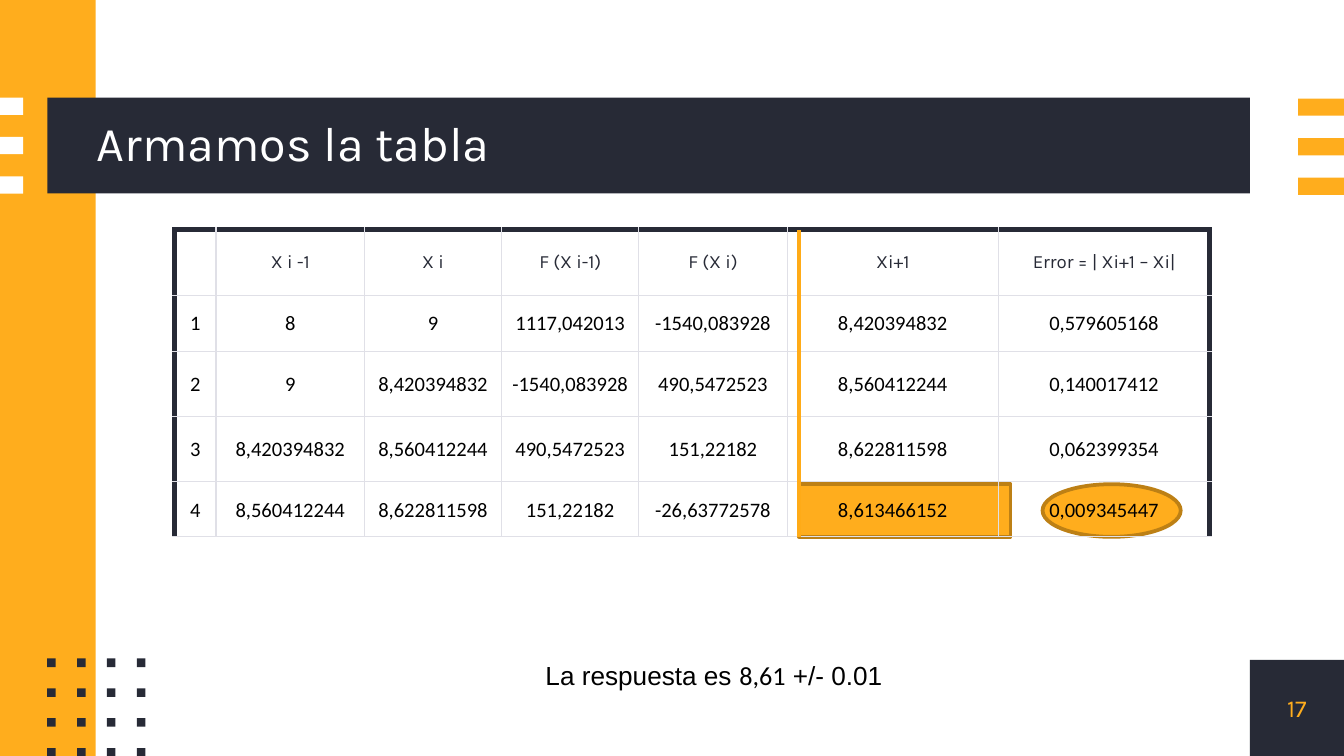
"""Build the slide that tabulates the secant method iterations."""
import lxml.etree
import pptx
import pptx.dml.color
import pptx.enum.shapes
import pptx.enum.text
import pptx.oxml
import pptx.oxml.ns
import pptx.util

Pt = pptx.util.Pt
SHAPES = pptx.enum.shapes.MSO_SHAPE
CENTER = pptx.enum.text.PP_ALIGN.CENTER
MIDDLE = pptx.enum.text.MSO_ANCHOR.MIDDLE

DARK, ORANGE, WHITE, BLACK = "272A36", "FFAD1D", "FFFFFF", "000000"
OUTLINE, DIVIDER, GRID = "BD8015", "FFAB17", "E0E0E7"

COLUMN_WIDTHS = [22.3, 79.5, 73.5, 73.5, 79.5, 113.2, 113.2]
ROW_HEIGHTS = [35, 30, 35, 35, 29.5]
ROWS = [
    ["", "X i -1", "X i", "F (X i-1)", "F (X i)", "Xi+1", "Error = | Xi+1 – Xi|"],
    ["1", "8", "9", "1117,042013", "-1540,083928", "8,420394832", "0,579605168"],
    ["2", "9", "8,420394832", "-1540,083928", "490,5472523", "8,560412244", "0,140017412"],
    ["3", "8,420394832", "8,560412244", "490,5472523", "151,22182", "8,622811598", "0,062399354"],
    ["4", "8,560412244", "8,622811598", "151,22182", "-26,63772578", "8,613466152", "0,009345447"],
]


def color(value):
    """Turn a hex string into a colour."""
    return pptx.dml.color.RGBColor.from_string(value)


def add_block(slide, left, top, width, height, fill, kind=SHAPES.RECTANGLE, outline=None):
    """Add a filled preset shape, outlined if a colour is given."""
    shape = slide.shapes.add_shape(kind, Pt(left), Pt(top), Pt(width), Pt(height))
    shape.shadow.inherit = False
    shape.fill.solid()
    shape.fill.fore_color.rgb = color(fill)
    if outline:
        shape.line.color.rgb = color(outline)
        shape.line.width = Pt(2)
    else:
        shape.line.fill.background()


def style_run(run, size, font, fill):
    """Set the size, font and colour of a run."""
    run.font.size = Pt(size)
    run.font.name = font
    run.font.color.rgb = color(fill)


def set_margins(target, left, top, right, bottom):
    """Set the inner margins of a cell or text frame."""
    target.margin_left, target.margin_top = Pt(left), Pt(top)
    target.margin_right, target.margin_bottom = Pt(right), Pt(bottom)


def add_text(slide, left, top, width, height, pieces, size, fill, align=None):
    """Add a text box made of (text, font) pieces and return it."""
    box = slide.shapes.add_textbox(Pt(left), Pt(top), Pt(width), Pt(height))
    box.text_frame.word_wrap = True
    paragraph = box.text_frame.paragraphs[0]
    paragraph.alignment = align
    for text, font in pieces:
        run = paragraph.add_run()
        run.text = text
        style_run(run, size, font, fill)
    return box


def add_label(slide, left, top, width, height, text, size, fill, align=None):
    """Add vertically centred text without margins and return its paragraph."""
    box = add_text(slide, left, top, width, height, [(text, "Karla")], size, fill, align)
    box.text_frame.vertical_anchor = MIDDLE
    set_margins(box.text_frame, 0, 0, 0, 0)
    return box.text_frame.paragraphs[0]


def set_border(cell, side, fill, width):
    """Draw one border of a cell; side is L, R, T or B."""
    namespace = pptx.oxml.ns.nsdecls("a")
    border = pptx.oxml.parse_xml(
        f'<a:ln{side} {namespace} w="{Pt(width)}"><a:solidFill>'
        f'<a:srgbClr val="{fill}"/></a:solidFill></a:ln{side}>')
    cell._tc.get_or_add_tcPr().append(border)


def format_cell(cell, text, row, column):
    """Write a cell and give it its borders, margins and text style."""
    edges = {"L": column == 0, "R": column == len(COLUMN_WIDTHS) - 1, "T": row == 0, "B": False}
    for side, is_edge in edges.items():
        set_border(cell, side, DARK if is_edge else GRID, 3 if is_edge else 0.75)
    cell.fill.background()
    cell.vertical_anchor = MIDDLE
    set_margins(cell, *((7.2, 5, 7.2, 5) if row == 0 else (0.7, 0.7, 0.7, 0)))
    cell.text_frame.text = text
    paragraph = cell.text_frame.paragraphs[0]
    paragraph.alignment = CENTER
    for run in paragraph.runs:
        style_run(run, *((10, "Karla", DARK) if row == 0 else (11, "Calibri", BLACK)))


def add_iterations(slide, left, top):
    """Add the table of iterations."""
    frame = slide.shapes.add_table(len(ROWS), len(COLUMN_WIDTHS), Pt(left), Pt(top),
                                   Pt(sum(COLUMN_WIDTHS)), Pt(sum(ROW_HEIGHTS)))
    table = frame.table
    table.first_row = table.horz_banding = False
    for column, width in zip(table.columns, COLUMN_WIDTHS):
        column.width = Pt(width)
    for row, height in zip(table.rows, ROW_HEIGHTS):
        row.height = Pt(height)
    for row, texts in enumerate(ROWS):
        for column, text in enumerate(texts):
            format_cell(table.cell(row, column), text, row, column)


def add_divider(slide, x, top, bottom):
    """Add the vertical line before the result columns."""
    line = slide.shapes.add_connector(pptx.enum.shapes.MSO_CONNECTOR.STRAIGHT,
                                      Pt(x), Pt(top), Pt(x), Pt(bottom))
    line.line.color.rgb = color(DIVIDER)
    line.line.width = Pt(2.25)
    lxml.etree.SubElement(line._element.spPr, pptx.oxml.ns.qn("a:effectLst"))


def add_decoration(slide):
    """Add the bars, stripes and dots around the content."""
    add_block(slide, 669.6, 353.5, 50.4, 51.5, DARK)
    add_block(slide, 0, 0, 51.3, 405, ORANGE)
    add_block(slide, 25.3, 52.3, 644.3, 51.3, DARK)
    for index in range(3):
        add_block(slide, 0, 52.3 + 21.1 * index, 12.4, 9.2, WHITE)
        add_block(slide, 695.4, 52.8 + 21.2 * index, 24.6, 9.2, ORANGE)
    for row in range(4):
        for column in range(4):
            add_block(slide, 25.3 + 16 * column, 352.8 + 16 * row, 4.6, 4.6, DARK)


def main():
    """Build and save the slide."""
    presentation = pptx.Presentation()
    presentation.slide_width, presentation.slide_height = Pt(720), Pt(405)
    slide = presentation.slides.add_slide(presentation.slide_layouts[6])
    add_decoration(slide)
    add_block(slide, 558.5, 259.4, 74, 28.2, ORANGE, SHAPES.OVAL, OUTLINE)
    add_block(slide, 428, 259.4, 113.4, 28.2, ORANGE, outline=OUTLINE)
    title = add_label(slide, 52, 52.3, 617.6, 51.3, "Armamos la tabla", 26, WHITE)
    title.line_spacing = 0.9
    add_iterations(slide, 93.5, 123.2)
    add_label(slide, 669.6, 353.5, 50.4, 51.5, "17", 13, ORANGE, CENTER)
    answer = [("La respuesta es ", "Arial"), ("8,61", "Calibri"), (" +/- 0.01", "Arial")]
    add_text(slide, 116, 350, 533, 24.2, answer, 14, BLACK, CENTER)
    add_divider(slide, 428, 123.2, 287.6)
    presentation.save("out.pptx")


if __name__ == "__main__":
    main()
